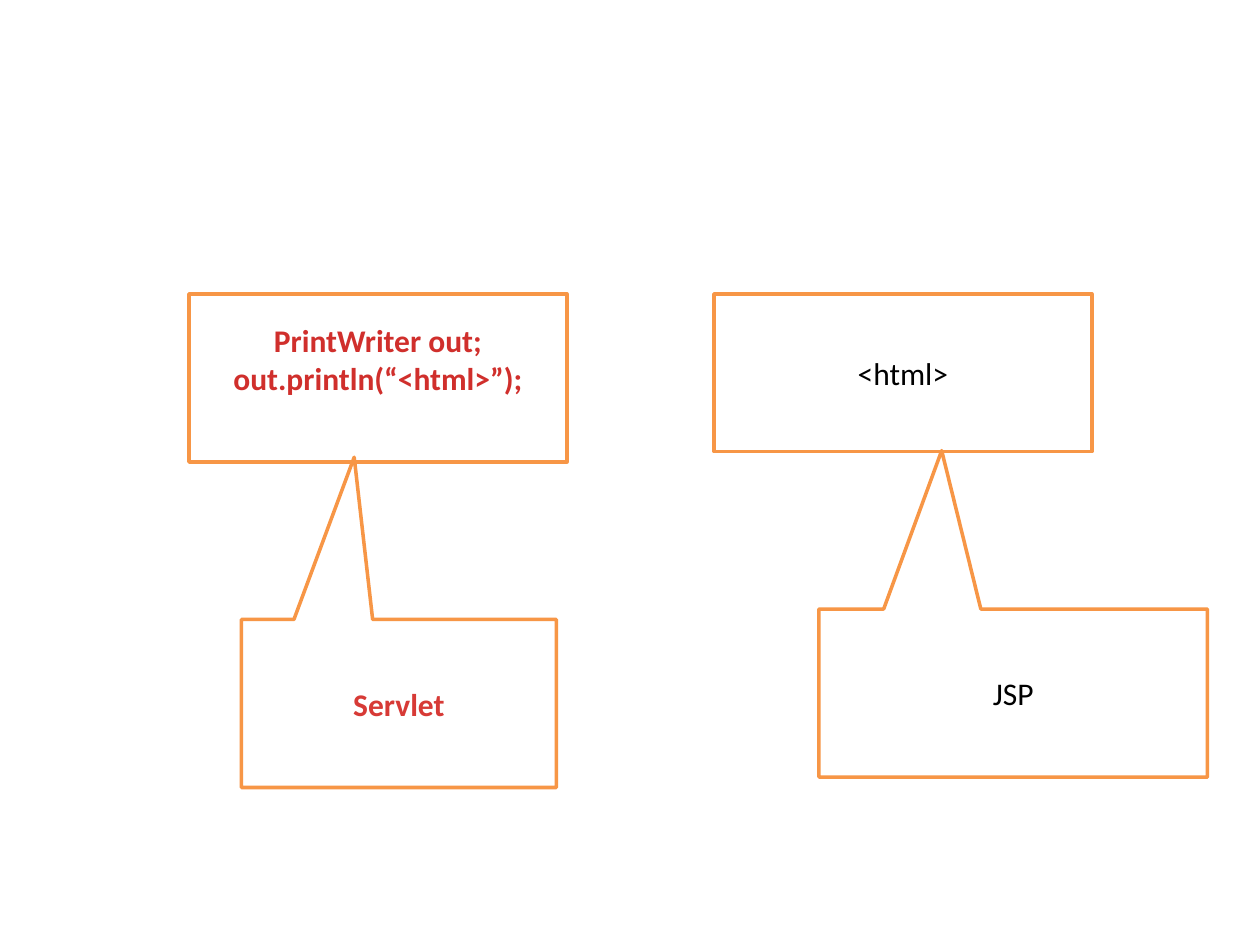
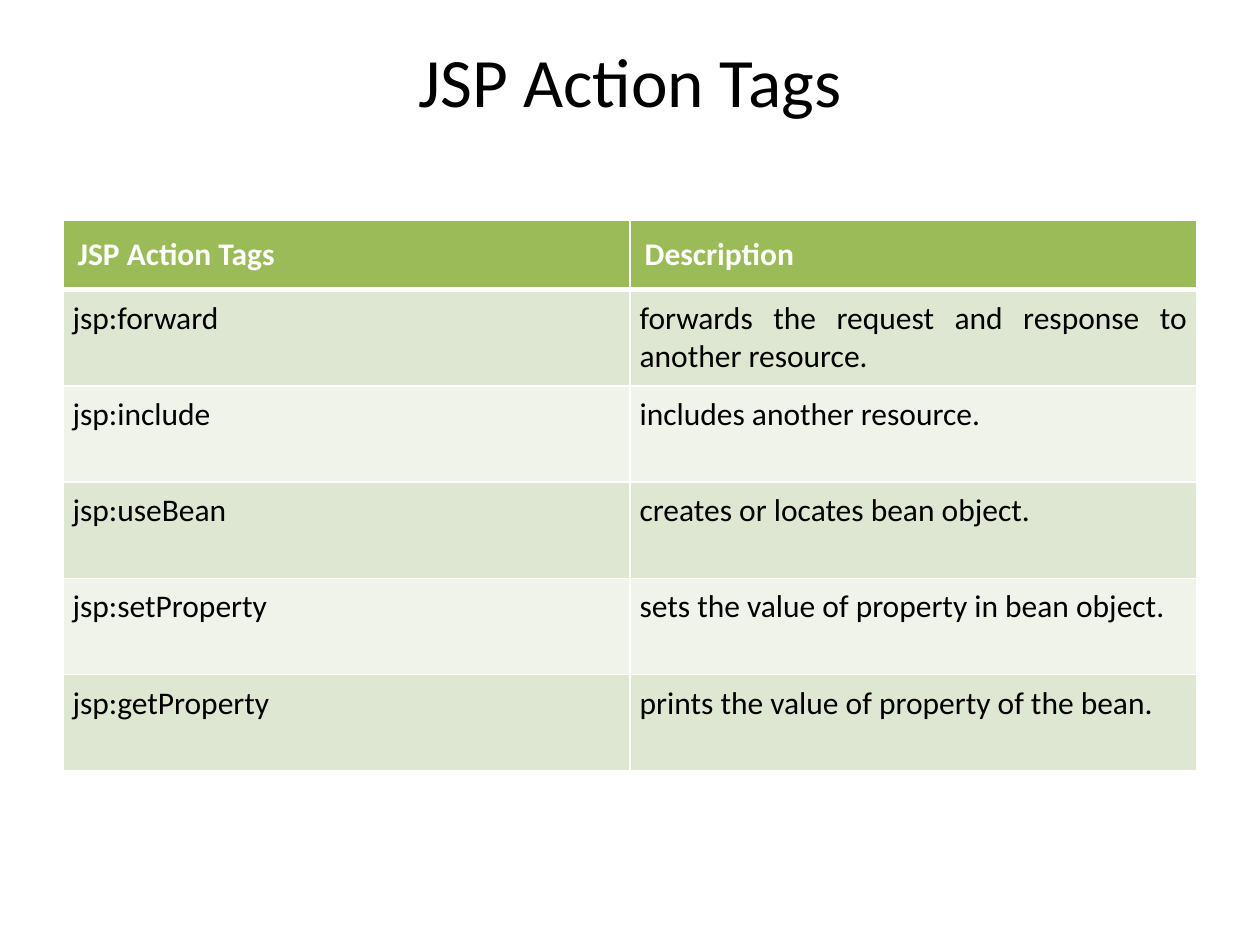
import pptx
import pptx.util
import pptx.dml.color
import pptx.enum.shapes
import pptx.enum.text
import lxml.etree

Pt = pptx.util.Pt
RGB = pptx.dml.color.RGBColor.from_string
SHAPE = pptx.enum.shapes.MSO_SHAPE
ALIGN = pptx.enum.text.PP_ALIGN
ANCHOR = pptx.enum.text.MSO_ANCHOR

FONT = "Calibri"
COLORS = {
    "white": "FFFFFF",
    "black": "000000",
    "orange": "F79646",
    "code_red": "D02F2C",
    "label_red": "D73A36",
    "header_green": "9BBB59",
    "band_dark": "DEE7D1",
    "band_light": "EFF3EA",
}


def style_paragraph(para, size, color, bold=False, align=ALIGN.CENTER):
    para.alignment = align
    para.font.name = FONT
    para.font.size = Pt(size)
    para.font.bold = bold
    para.font.color.rgb = RGB(COLORS[color])


def add_border(cell, side, width):
    properties = cell._tc.get_or_add_tcPr()
    namespace = "{http://schemas.openxmlformats.org/drawingml/2006/main}"
    line = lxml.etree.SubElement(properties, namespace + "ln" + side, w=str(Pt(width)))
    fill = lxml.etree.SubElement(line, namespace + "solidFill")
    lxml.etree.SubElement(fill, namespace + "srgbClr", val=COLORS["white"])


deck = pptx.Presentation()
deck.slide_width = Pt(720)
deck.slide_height = Pt(540)
blank = deck.slide_layouts[6]

comparison = deck.slides.add_slide(blank)
boxes = [
    (SHAPE.RECTANGLE, (108, 168, 216, 96), None,
     ["PrintWriter out;", "out.println(“<html>”);"], "code_red", True),
    (SHAPE.RECTANGULAR_CALLOUT, (138, 354, 180, 96), (-0.142, -1.466),
     ["Servlet"], "label_red", True),
    (SHAPE.RECTANGLE, (408, 168, 216, 90), None, ["<html>"], "black", False),
    (SHAPE.RECTANGULAR_CALLOUT, (468, 348, 222, 96), (-0.184, -1.443),
     ["JSP"], "black", False),
]
for kind, place, pointer, lines, color, bold in boxes:
    box = comparison.shapes.add_shape(kind, *map(Pt, place))
    box.shadow.inherit = False
    box.fill.solid()
    box.fill.fore_color.rgb = RGB(COLORS["white"])
    box.line.color.rgb = RGB(COLORS["orange"])
    box.line.width = Pt(2)
    if pointer:
        box.adjustments[0], box.adjustments[1] = pointer
    frame = box.text_frame
    frame.word_wrap = True
    frame.vertical_anchor = ANCHOR.MIDDLE
    if len(lines) > 1:
        frame.margin_bottom = Pt(25.6)
    frame.text = "\n".join(lines)
    for para in frame.paragraphs:
        style_paragraph(para, 18, color, bold)

actions = deck.slides.add_slide(blank)
title = actions.shapes.add_textbox(Pt(36), Pt(21.6), Pt(648), Pt(90))
title.text_frame.word_wrap = True
title.text_frame.margin_top = 0
title.text_frame.text = "JSP Action Tags"
style_paragraph(title.text_frame.paragraphs[0], 39.6, "black")

rows = [
    ("JSP Action Tags", "Description"),
    ("jsp:forward", "forwards the request and response to another resource."),
    ("jsp:include", "includes another resource."),
    ("jsp:useBean", "creates or locates bean object."),
    ("jsp:setProperty", "sets the value of property in bean object."),
    ("jsp:getProperty", "prints the value of property of the bean."),
]
table = actions.shapes.add_table(len(rows), 2, Pt(36), Pt(126), Pt(648), Pt(314.5)).table
for row_index, texts in enumerate(rows):
    header = row_index == 0
    table.rows[row_index].height = Pt(39.5 if header else 55)
    band = "header_green" if header else "band_dark" if row_index % 2 else "band_light"
    inset = Pt(8.4 if header else 5.5)
    for column_index, text in enumerate(texts):
        cell = table.cell(row_index, column_index)
        cell.margin_left = cell.margin_right = inset
        cell.margin_top = cell.margin_bottom = inset
        add_border(cell, "L", 1)
        add_border(cell, "R", 1)
        add_border(cell, "T", 3 if row_index == 1 else 1)
        add_border(cell, "B", 3 if header else 1)
        cell.fill.solid()
        cell.fill.fore_color.rgb = RGB(COLORS[band])
        cell.text = text
        para = cell.text_frame.paragraphs[0]
        if header:
            style_paragraph(para, 18, "white", True, ALIGN.LEFT)
        else:
            style_paragraph(para, 18, "black", False, ALIGN.JUSTIFY)

deck.save("out.pptx")
